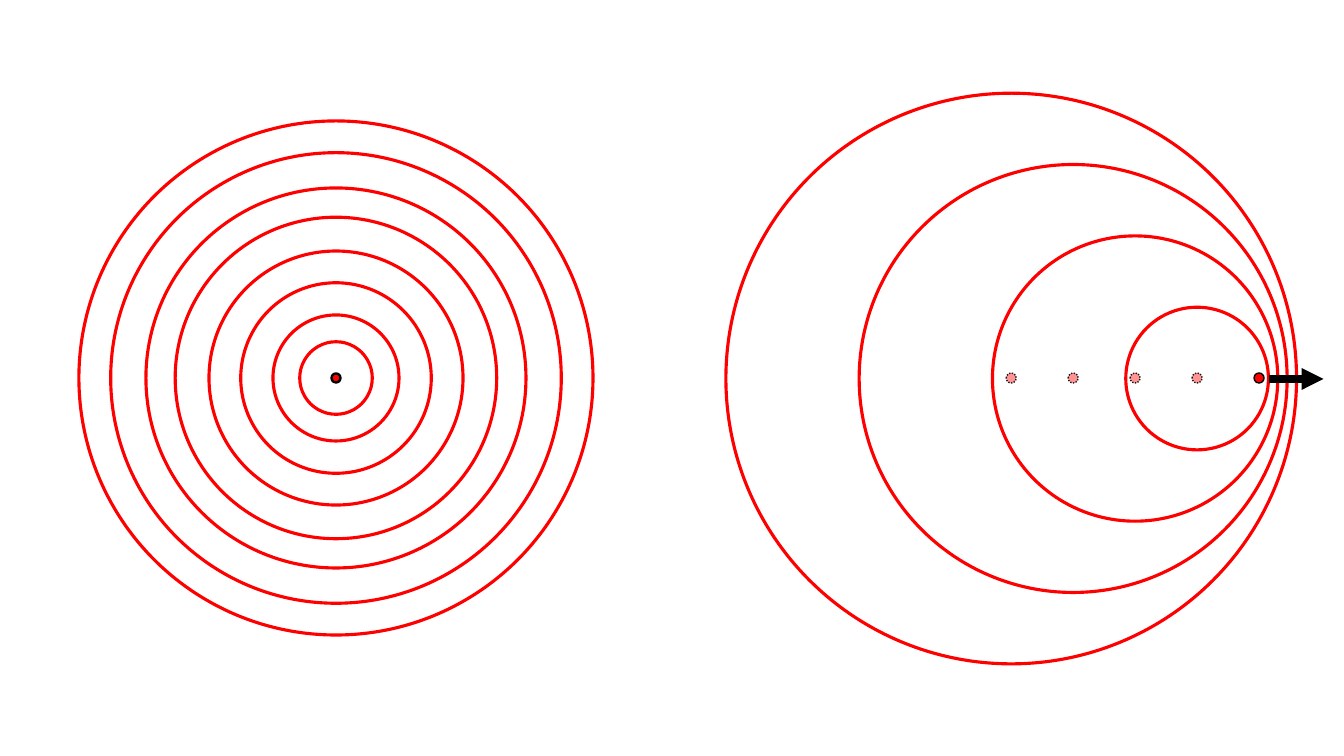
"""Wavefronts of a source at rest and of a source moving to the right."""
from dataclasses import dataclass

from lxml import etree
from pptx import Presentation
from pptx import util as u
from pptx.dml.color import RGBColor
from pptx.enum import dml, shapes
from pptx.oxml.ns import qn

COLORS = {"wave": "FF0000", "outline": "000000"}
W, H = u.Inches(13.333), u.Inches(7.5)
MID_Y = 50
REST_X = 25
REST_SETS = [(1.33, (16.67, 33.6, 50.27, 68)), (1.07, (9.6, 25.2, 42.53, 59.6))]
SOURCE_X, SOURCE_STEP = 93.68, 4.61
DOT_SIZE, RING_STEP = 1.33, 18.87
PAST_STEPS = range(1, 5)
ARROW_START, ARROW_END = 94.43, 98.48


@dataclass
class Circle:
    """A circle: x in percent of the width, y and size in percent of the height."""
    x: float
    size: float
    fill: str | None = None
    line: str = "wave"
    weight: float = 2.25
    faded: bool = False
    y: float = MID_Y


def px(share: float) -> int:
    """Turn a percentage of the slide width into a length."""
    return round(W * share / 100)


def py(share: float) -> int:
    """Turn a percentage of the slide height into a length."""
    return round(H * share / 100)


def set_alpha(sp_pr, tag: str, percent: int) -> None:
    """Make the solid fill found under the given tag partly transparent."""
    color = sp_pr.find(f"{tag}/{qn('a:srgbClr')}")
    etree.SubElement(color, qn("a:alpha")).set("val", str(percent * 1000))


def draw_circle(group, c: Circle) -> None:
    """Draw a ring or a dot in the group."""
    d = py(c.size)
    sp = group.shapes.add_shape(shapes.MSO_SHAPE.OVAL, px(c.x) - d // 2, py(c.y) - d // 2, d, d)
    sp.shadow.inherit = False
    sp.line.color.rgb = RGBColor.from_string(COLORS[c.line])
    sp.line.width = u.Pt(c.weight)
    if c.fill is None:
        sp.fill.background()
        return
    sp.fill.solid()
    sp.fill.fore_color.rgb = RGBColor.from_string(COLORS[c.fill])
    if c.faded:
        sp.line.dash_style = dml.MSO_LINE.ROUND_DOT
        sp_pr = sp.element.spPr
        set_alpha(sp_pr, qn("a:solidFill"), 42)
        set_alpha(sp_pr, f"{qn('a:ln')}/{qn('a:solidFill')}", 88)


def dot(x: float, size: float = DOT_SIZE, faded: bool = False) -> Circle:
    """Describe a wave source."""
    return Circle(x, size, "wave", "outline", 1, faded)


def draw_arrow(group) -> None:
    """Draw the arrow that shows the motion of the source."""
    y = py(MID_Y + 0.13)
    ln = group.shapes.add_connector(shapes.MSO_CONNECTOR.STRAIGHT, px(ARROW_START), y, px(ARROW_END), y)
    ln.line.color.rgb = RGBColor.from_string(COLORS["outline"])
    ln.line.width = u.Pt(5.25)
    etree.SubElement(ln.line._get_or_add_ln(), qn("a:tailEnd")).set("type", "triangle")
    etree.SubElement(ln.element.spPr, qn("a:effectLst"))


def main() -> None:
    """Build and save the slide."""
    prs = Presentation()
    prs.slide_width, prs.slide_height = W, H
    s = prs.slides.add_slide(prs.slide_layouts[6])

    for dot_size, ring_sizes in REST_SETS:
        group = s.shapes.add_group_shape()
        for c in [dot(REST_X, dot_size)] + [Circle(REST_X, size) for size in ring_sizes]:
            draw_circle(group, c)

    group = s.shapes.add_group_shape()
    past = [(SOURCE_X - n * SOURCE_STEP, n * RING_STEP) for n in PAST_STEPS]
    for x, _ in past:
        draw_circle(group, dot(x, faded=True))
    for x, size in past:
        draw_circle(group, Circle(x, size, y=MID_Y + 0.07))
    draw_arrow(group)
    draw_circle(group, dot(SOURCE_X))

    prs.save("out.pptx")


if __name__ == "__main__":
    main()
